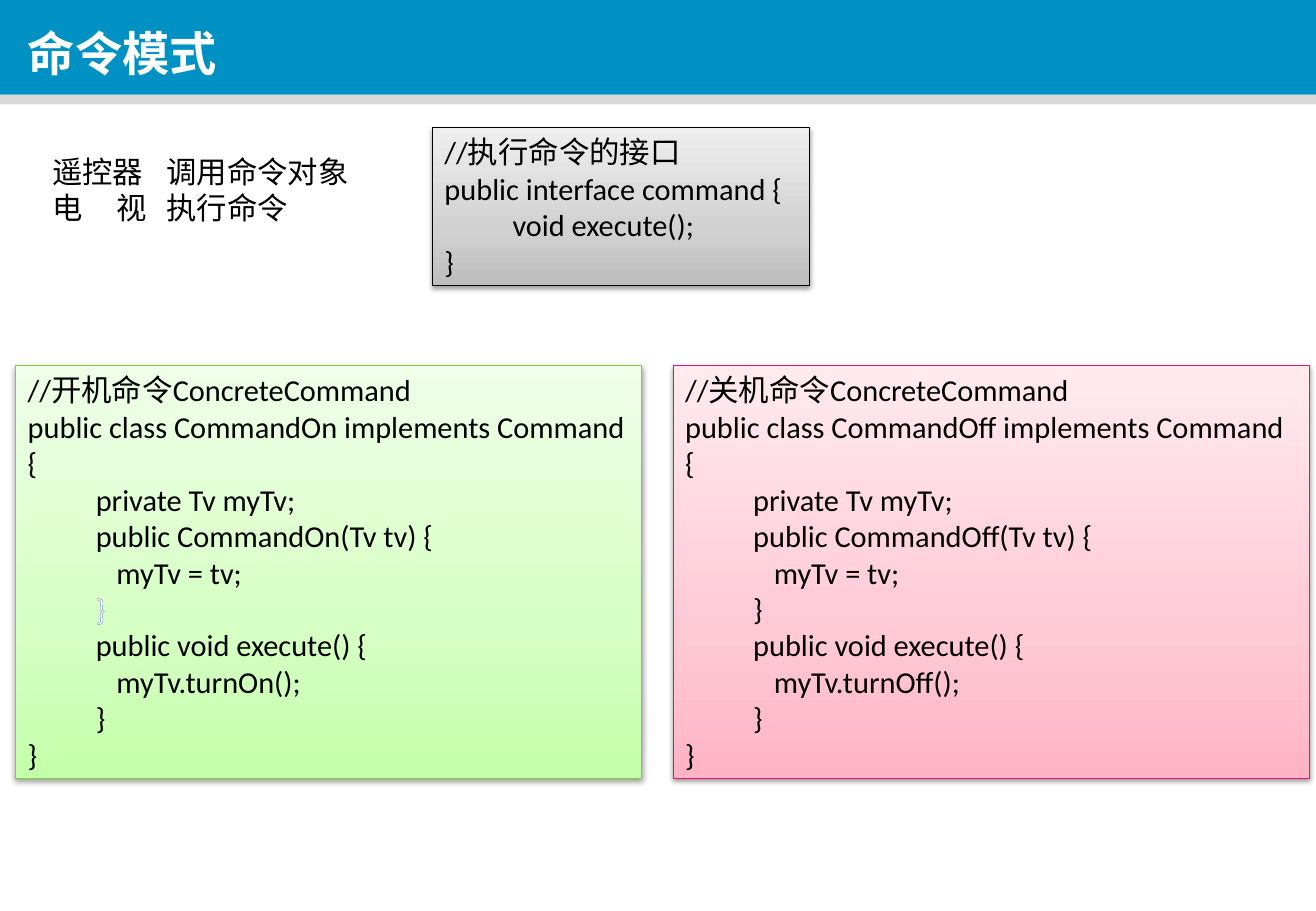
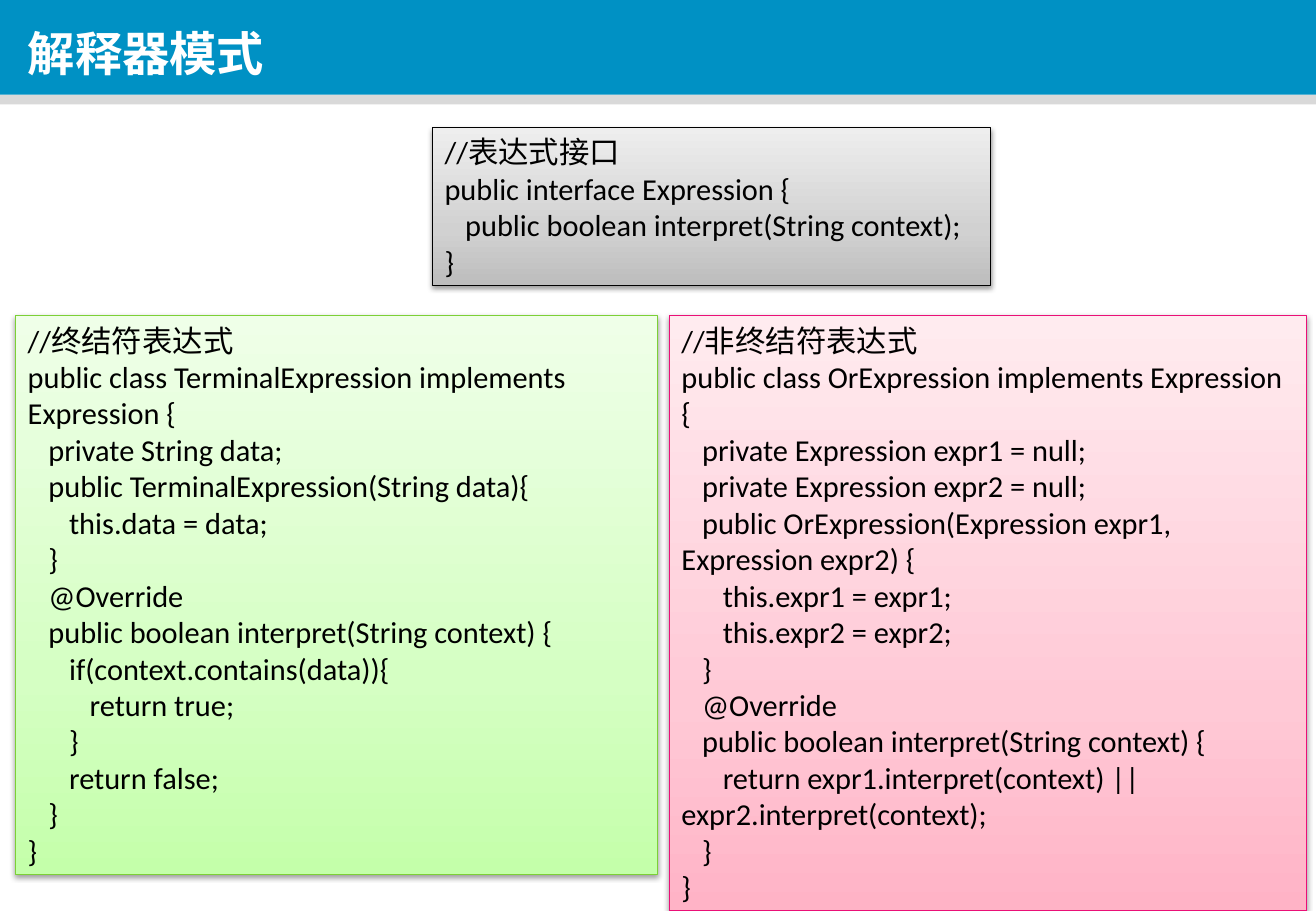
from lxml import etree
from pptx import Presentation
from pptx.dml.color import RGBColor
from pptx.enum.shapes import MSO_SHAPE
from pptx.enum.text import MSO_ANCHOR, MSO_AUTO_SIZE, PP_ALIGN
from pptx.oxml import parse_xml
from pptx.oxml.ns import nsdecls, qn
from pptx.util import Inches, Pt

SLIDE_WIDTH, SLIDE_HEIGHT = 10.83, 7.5
BAND_HEIGHT, RULE_HEIGHT = 0.78, 0.08
BAND_COLOR, RULE_COLOR = "0091C4", "D9D9D9"
TITLE_BOX = (0.13, 0.13, 10.44, 0.6)
CJK_FONT = "Noto Sans CJK SC"
TITLE_FONT = {"name": CJK_FONT, "size": Pt(28), "bold": True}
BODY_FONT = {"name": "Calibri", "size": Pt(18)}

# Line colour, then the gradient from bottom to top
GRAY = ("000000", ("BDBDBD", "D1D1D1", "EEEEEE"))
PINK = ("EA0F77", ("FFB3C6", "FFC9D6", "FFEBEF"))
GREEN = ("7CD036", ("C4FFAA", "D5FFC3", "EFFFE8"))
STOPS = (0, 35, 100)

# First-line indents, in inches, for each nesting level
WIDE_INDENTS = (0, 0.56, 0.73)
NARROW_INDENTS = (0, 0.17, 0.34, 0.51)
NOTE_TABS = (0.53, 0.94)

NOTES = ("遥控器\t调用命令对象", "电\t视\t执行命令")

COMMAND_INTERFACE = """//执行命令的接口
public interface command {
   void execute();
}"""

COMMAND_CLASS = """//{caption}命令ConcreteCommand
public class Command{state} implements Command {{
   private Tv myTv;
   public Command{state}(Tv tv) {{
      myTv = tv;
   }}
   public void execute() {{
      myTv.turn{state}();
   }}
}}"""
OUTLINED_LINE = 5

EXPRESSION_INTERFACE = """//表达式接口
public interface Expression {
   public boolean interpret(String context);
}"""

TERMINAL_CLASS = """//终结符表达式
public class TerminalExpression implements Expression {
   private String data;
   public TerminalExpression(String data){
      this.data = data;
   }
   @Override
   public boolean interpret(String context) {
      if(context.contains(data)){
         return true;
      }
      return false;
   }
}"""

OR_CLASS = """//非终结符表达式
public class OrExpression implements Expression {
   private Expression expr1 = null;
   private Expression expr2 = null;
   public OrExpression(Expression expr1, Expression expr2) {
      this.expr1 = expr1;
      this.expr2 = expr2;
   }
   @Override
   public boolean interpret(String context) {
      return expr1.interpret(context) || expr2.interpret(context);
   }
}"""


def rgb(color):
    return RGBColor.from_string(color)


def inches(box):
    return [Inches(value) for value in box]


def add_run(paragraph, text, font, color="000000"):
    run = paragraph.add_run()
    run.text = text
    for name, value in font.items():
        setattr(run.font, name, value)
    run.font.color.rgb = rgb(color)
    east_asian = etree.SubElement(run.font._element, qn("a:ea"))
    east_asian.set("typeface", CJK_FONT)
    return run


def outline_run(run, color, width):
    run.font.color.rgb = rgb("FFFFFF")
    run.font._element.insert(0, parse_xml(
        f'<a:ln {nsdecls("a")} w="{Pt(width)}"><a:solidFill>'
        f'<a:srgbClr val="{color}"/></a:solidFill></a:ln>'))


def next_paragraph(frame, index):
    return frame.add_paragraph() if index else frame.paragraphs[0]


def add_bands(slide, layout):
    """Build the title band and its rule, and hand them to the layout."""
    bands = ((BAND_HEIGHT, RULE_HEIGHT, RULE_COLOR), (0, BAND_HEIGHT, BAND_COLOR))
    for position, (top, height, color) in enumerate(bands, start=2):
        band = slide.shapes.add_shape(
            MSO_SHAPE.RECTANGLE, *inches((0, top, SLIDE_WIDTH, height)))
        band.shadow.inherit = False
        band.fill.solid()
        band.fill.fore_color.rgb = rgb(color)
        band.line.fill.background()
        layout.shapes.element.insert(position, band.element)


def add_title(slide, text):
    title = slide.shapes.title
    title.left, title.top, title.width, title.height = inches(TITLE_BOX)
    frame = title.text_frame
    frame.vertical_anchor = MSO_ANCHOR.MIDDLE
    paragraph = frame.paragraphs[0]
    paragraph.alignment = PP_ALIGN.LEFT
    add_run(paragraph, text, TITLE_FONT, "FFFFFF")


def paint_panel(shape, line_color, gradient):
    stops = "".join(
        f'<a:gs pos="{stop * 1000}"><a:srgbClr val="{color}"/></a:gs>'
        for stop, color in zip(STOPS, gradient))
    shape.element.spPr.insert(2, parse_xml(
        f'<a:gradFill {nsdecls("a")} rotWithShape="1"><a:gsLst>{stops}</a:gsLst>'
        '<a:lin ang="16200000" scaled="0"/></a:gradFill>'))
    shape.line.color.rgb = rgb(line_color)
    shape.line.width = Pt(0.75)
    shape.shadow.inherit = False
    shape.element.spPr.find(qn("a:effectLst")).append(parse_xml(
        f'<a:outerShdw {nsdecls("a")} blurRad="{Pt(3.1)}" dist="{Pt(1.6)}" '
        'dir="5400000" rotWithShape="0"><a:srgbClr val="000000">'
        '<a:alpha val="38000"/></a:srgbClr></a:outerShdw>'))


def add_code_panel(slide, box, style, code, indents, outlined=None):
    """Place a code listing; three leading spaces in code mean one level."""
    panel = slide.shapes.add_shape(MSO_SHAPE.RECTANGLE, *inches(box))
    paint_panel(panel, *style)
    frame = panel.text_frame
    frame.word_wrap = True
    frame.auto_size = MSO_AUTO_SIZE.SHAPE_TO_FIT_TEXT
    frame.vertical_anchor = MSO_ANCHOR.TOP
    for index, line in enumerate(code.splitlines()):
        text = line.lstrip()
        level = (len(line) - len(text)) // 3
        paragraph = next_paragraph(frame, index)
        paragraph.alignment = PP_ALIGN.LEFT
        properties = paragraph._p.get_or_add_pPr()
        properties.set("marL", "0")
        properties.set("indent", str(Inches(indents[level])))
        run = add_run(paragraph, text, BODY_FONT)
        if index == outlined:
            outline_run(run, "738AC8", 0.8)


def add_notes_box(slide, box, lines):
    frame = slide.shapes.add_textbox(*inches(box)).text_frame
    frame.word_wrap = True
    frame.auto_size = MSO_AUTO_SIZE.SHAPE_TO_FIT_TEXT
    for index, line in enumerate(lines):
        paragraph = next_paragraph(frame, index)
        tabs = etree.SubElement(paragraph._p.get_or_add_pPr(), qn("a:tabLst"))
        for position in NOTE_TABS:
            tab = etree.SubElement(tabs, qn("a:tab"))
            tab.set("pos", str(Inches(position)))
            tab.set("algn", "l")
        add_run(paragraph, line, BODY_FONT)


def build_command_slide(slide):
    add_title(slide, "命令模式")
    add_code_panel(slide, (3.56, 1.05, 3.1, 1.3), GRAY, COMMAND_INTERFACE, WIDE_INDENTS)
    add_code_panel(slide, (5.54, 3.01, 5.24, 3.4), PINK,
                   COMMAND_CLASS.format(caption="关机", state="Off"), WIDE_INDENTS)
    add_code_panel(slide, (0.13, 3.01, 5.15, 3.4), GREEN,
                   COMMAND_CLASS.format(caption="开机", state="On"), WIDE_INDENTS,
                   OUTLINED_LINE)
    add_notes_box(slide, (0.33, 1.21, 2.93, 0.7), NOTES)


def build_interpreter_slide(slide):
    add_title(slide, "解释器模式")
    panels = (
        ((3.56, 1.05, 4.59, 1.3), GRAY, EXPRESSION_INTERFACE),
        ((5.51, 2.6, 5.24, 4.9), PINK, OR_CLASS),
        ((0.13, 2.6, 5.28, 4.6), GREEN, TERMINAL_CLASS),
    )
    for box, style, code in panels:
        add_code_panel(slide, box, style, code, NARROW_INDENTS)


def main():
    presentation = Presentation()
    presentation.slide_width = Inches(SLIDE_WIDTH)
    presentation.slide_height = Inches(SLIDE_HEIGHT)
    title_only = presentation.slide_layouts[5]
    builders = (build_command_slide, build_interpreter_slide)
    slides = [presentation.slides.add_slide(title_only) for _ in builders]
    add_bands(slides[0], title_only)
    for build, slide in zip(builders, slides):
        build(slide)
    presentation.save("out.pptx")


if __name__ == "__main__":
    main()
